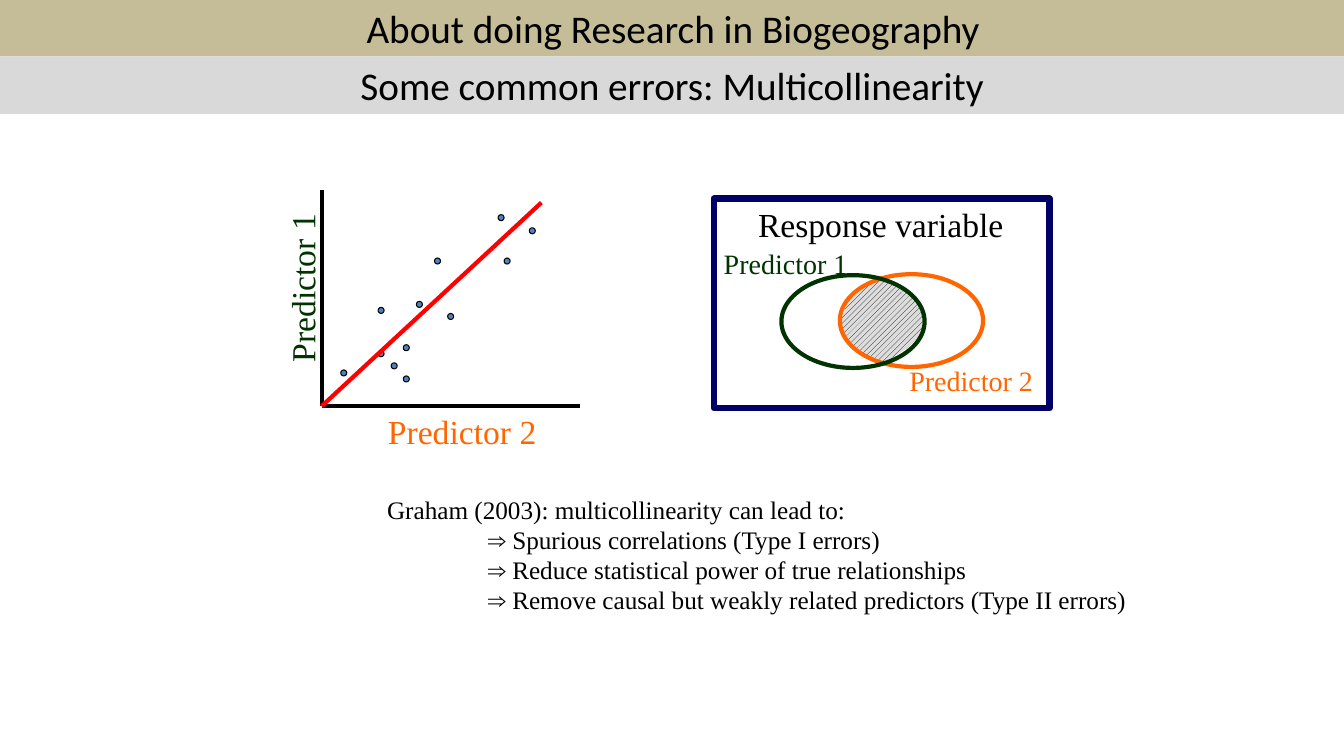
import pptx
import pptx.util
import pptx.dml.color
import pptx.enum.dml
import pptx.enum.shapes
import pptx.enum.text
import pptx.oxml.ns
import lxml.etree

Inches = pptx.util.Inches
Pt = pptx.util.Pt
RGB = pptx.dml.color.RGBColor.from_string
SHAPE = pptx.enum.shapes.MSO_SHAPE
ALIGN = pptx.enum.text.PP_ALIGN


class Theme:
    heading_font = "Calibri"
    body_font = "Times New Roman"
    black = RGB("000000")
    khaki = RGB("C4BD97")
    grey = RGB("D9D9D9")
    hatch_ground = RGB("DDDDDD")
    navy = RGB("000066")
    orange = RGB("FF6600")
    green = RGB("003300")
    red = RGB("FF0000")
    dot = RGB("4F81BD")
    heading = Pt(28)
    label = Pt(24)
    small_label = Pt(20)
    body = Pt(18)
    frame_line = Pt(4.5)
    thick_line = Pt(3)
    thin_line = Pt(0.75)


def add_outlined(kind, box, color, weight):
    outlined = slide.shapes.add_shape(kind, *map(Inches, box))
    outlined.shadow.inherit = False
    outlined.fill.background()
    outlined.line.color.rgb = color
    outlined.line.width = weight
    return outlined


def add_text(box, lines, size, color):
    label = slide.shapes.add_textbox(*map(Inches, box))
    label.text_frame.word_wrap = False
    label.text_frame.text = "\n".join(lines)
    for paragraph in label.text_frame.paragraphs:
        paragraph.font.name = Theme.body_font
        paragraph.font.size = size
        paragraph.font.color.rgb = color
    return label


deck = pptx.Presentation()
deck.slide_width = Inches(13.33)
deck.slide_height = Inches(7.5)
slide = deck.slides.add_slide(deck.slide_layouts[5])

title = slide.shapes.title
title.left, title.top, title.width, title.height = map(Inches, (0, -0.01, 13.35, 0.57))
subtitle = slide.shapes.add_shape(SHAPE.RECTANGLE, 0, Inches(0.56), Inches(13.33), Inches(0.57))
subtitle.shadow.inherit = False
for band, words, color in (
    (title, "About doing Research in Biogeography", Theme.khaki),
    (subtitle, "Some common errors: Multicollinearity", Theme.grey),
):
    band.fill.solid()
    band.fill.fore_color.rgb = color
    band.line.fill.background()
    frame = band.text_frame
    frame.text = words
    frame.word_wrap = True
    frame.auto_size = pptx.enum.text.MSO_AUTO_SIZE.NONE
    frame.vertical_anchor = pptx.enum.text.MSO_ANCHOR.MIDDLE
    heading = frame.paragraphs[0]
    heading.alignment = ALIGN.CENTER
    heading.font.name = Theme.heading_font
    heading.font.size = Theme.heading
    heading.font.color.rgb = Theme.black

observations = [
    (3.75, 3.48), (3.88, 3.6), (4.13, 2.99), (4.44, 3.11), (4.31, 2.56), (3.75, 3.05),
    (5, 2.56), (4, 3.42), (3.38, 3.67), (4.94, 2.13), (5.25, 2.26), (4, 3.73),
]
for left, top in observations:
    dot = add_outlined(SHAPE.OVAL, (left, top, 0.06, 0.06), Theme.black, Theme.thin_line)
    dot.fill.solid()
    dot.fill.fore_color.rgb = Theme.dot

origin = (3.19, 4.03)
for end, color in (
    ((3.19, 1.89), Theme.black),
    ((5.75, 4.03), Theme.black),
    ((5.37, 2.01), Theme.red),
):
    line = slide.shapes.add_connector(
        pptx.enum.shapes.MSO_CONNECTOR.STRAIGHT, *map(Inches, origin + end))
    line.line.color.rgb = color
    line.line.width = Theme.thick_line
    lxml.etree.SubElement(line._element.spPr, pptx.oxml.ns.qn("a:effectLst"))

add_text((3.75, 4.03, 1.67, 0.5), ["Predictor 2"], Theme.label, Theme.orange)
y_label = add_text((2.15, 2.61, 1.69, 0.5), ["Predictor 1"], Theme.label, Theme.green)
y_label.rotation = 270
y_label.text_frame.paragraphs[0].alignment = ALIGN.CENTER

overlap_outline = [
    (874, 273), (841, 298), (833, 322), (841, 338), (850, 346), (858, 354), (874, 362), (899, 346),
    (907, 338), (915, 330), (915, 306), (907, 298), (891, 281), (883, 281),
]
builder = slide.shapes.build_freeform(*overlap_outline[0], scale=Inches(0.01))
builder.add_line_segments(overlap_outline[1:], close=True)
overlap = builder.convert_to_shape()
overlap.shadow.inherit = False
overlap.line.fill.background()
overlap.fill.patterned()
overlap.fill.pattern = pptx.enum.dml.MSO_PATTERN.WIDE_UPWARD_DIAGONAL
overlap.fill.fore_color.rgb = Theme.black
overlap.fill.back_color.rgb = Theme.hatch_ground

add_outlined(SHAPE.RECTANGLE, (7.08, 1.97, 3.33, 2.08), Theme.navy, Theme.frame_line)
add_text((7.42, 1.97, 2.64, 0.5), ["Response variable"], Theme.label, Theme.black)
for name, color, ellipse, label_box in (
    ("Predictor 2", Theme.orange, (8.33, 2.72, 1.42, 0.92), (8.92, 3.56, 1.43, 0.43)),
    ("Predictor 1", Theme.green, (7.75, 2.73, 1.42, 0.92), (7.08, 2.4, 1.43, 0.43)),
):
    add_outlined(SHAPE.OVAL, ellipse, color, Theme.thick_line)
    add_text(label_box, [name], Theme.small_label, color)

consequences = add_text((3.74, 4.85, 7.62, 1.3), [
    "Graham (2003): multicollinearity can lead to:",
    "⇒ Spurious correlations (Type I errors)",
    "⇒ Reduce statistical power of true relationships",
    "⇒ Remove causal but weakly related predictors (Type II errors)",
], Theme.body, Theme.black)
for consequence in consequences.text_frame.paragraphs[1:]:
    consequence._p.get_or_add_pPr().set("marL", str(Inches(1)))

deck.save("out.pptx")
